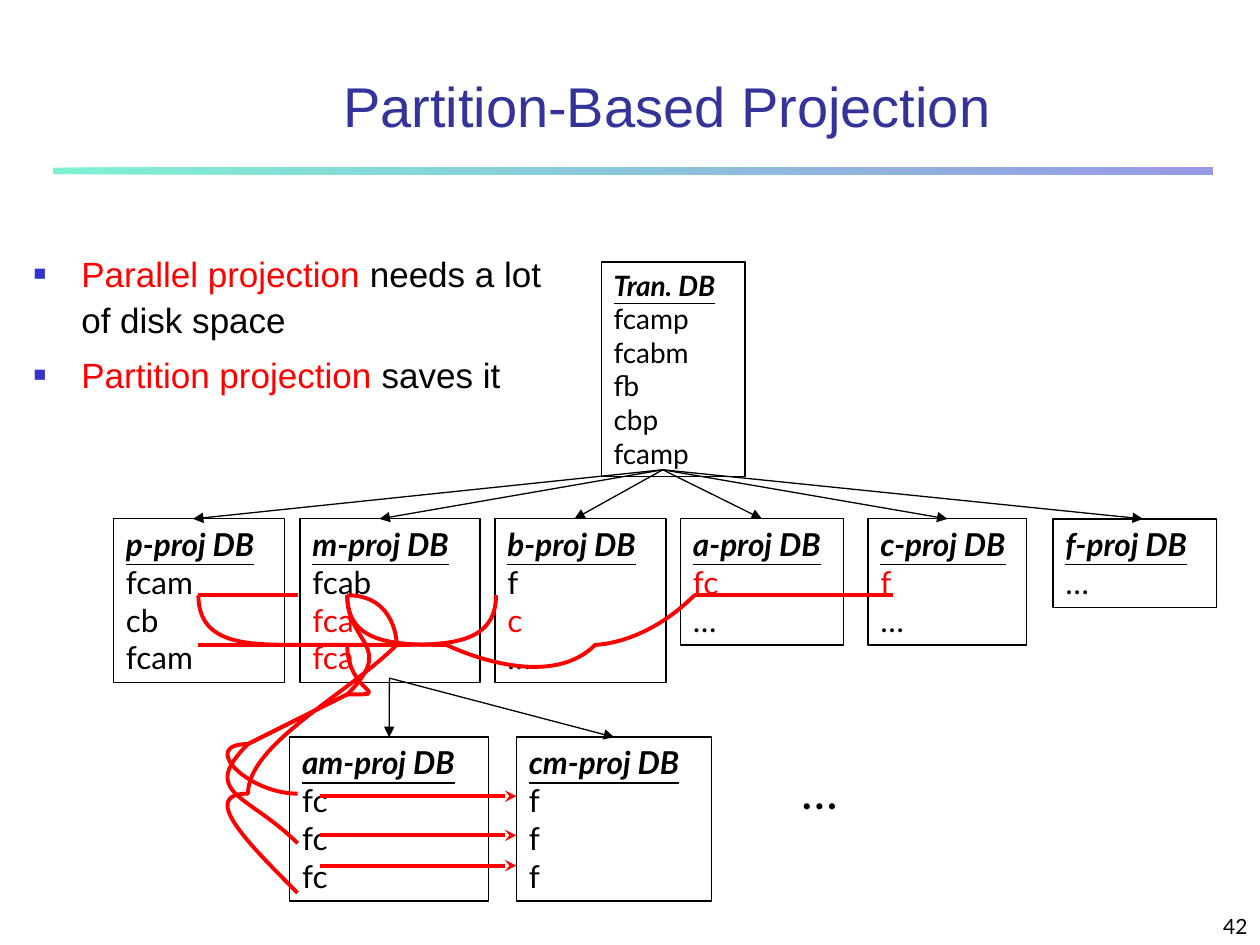
from lxml import etree
from pptx import Presentation
from pptx import util as u
from pptx.dml.color import RGBColor
from pptx.enum import shapes, text
from pptx.oxml.ns import qn

BLACK, RED, NAVY, BLUE = "000000", "FF0000", "333399", "3333CC"
ROW1, ROW2 = 10.46, 14.86

# name, left, top, width, size, lines; a star marks a red line
BOXES = [
    ("Tran. DB", 12.12, 5.28, 2.9, 16, "fcamp fcabm fb cbp fcamp"),
    ("p-proj DB", 2.29, ROW1, 3.45, 18, "fcam cb fcam"),
    ("m-proj DB", 6.05, ROW1, 3.63, 18, "fcab *fca *fca"),
    ("b-proj DB", 9.98, ROW1, 3.45, 18, "f *c …"),
    ("a-proj DB", 13.72, ROW1, 3.28, 18, "*fc …"),
    ("c-proj DB", 17.5, ROW1, 3.2, 18, "*f …"),
    ("f-proj DB", 21.23, ROW1, 3.3, 18, "…"),
    ("am-proj DB", 5.84, ROW2, 4.01, 18, "fc fc fc"),
    ("cm-proj DB", 10.41, ROW2, 3.94, 18, "f f f"),
]

# start point, then the x where each arrow meets the top of its box
TREE = [
    ((13.36, 9.47), [("p-proj DB", 3.89), ("m-proj DB", 7.65),
                     ("b-proj DB", 11.58), ("a-proj DB", 15.34),
                     ("c-proj DB", 19.1), ("f-proj DB", 23.04)]),
    ((7.85, 13.67), [("am-proj DB", 7.85), ("cm-proj DB", 12.4)]),
]

# start, then two control points and an end for each piece
CURVES = [
    [(3.71, 11.66), (3.89, 11.91), (4.09, 12.17), (4.5, 12.29),
     (4.88, 12.45), (5.49, 12.45), (6.07, 12.47)],
    [(7.06, 12.47), (7.47, 12.78), (7.87, 13.11), (8.64, 13.26),
     (9.4, 13.44), (10.74, 13.69), (11.58, 13.46),
     (12.45, 13.23), (13.11, 12.55), (13.77, 11.86)],
    [(14.35, 11.66), (14.99, 11.76), (15.65, 11.86), (16.15, 11.89),
     (16.69, 11.89), (17.09, 11.84), (17.53, 11.79)],
    [(3.71, 13.26), (3.94, 13.34), (4.19, 13.44), (4.5, 13.46),
     (4.78, 13.49), (5.21, 13.49), (5.49, 13.46),
     (5.74, 13.44), (5.89, 13.34), (6.07, 13.26)],
    [(7.04, 13.26), (7.44, 13.51), (7.85, 13.77), (7.47, 14.05),
     (7.09, 14.35), (5.03, 14.73), (4.75, 15.06),
     (4.5, 15.39), (5.13, 15.72), (5.79, 16.05)],
    [(7.04, 12.47), (7.44, 12.85), (7.85, 13.23), (7.47, 13.72),
     (7.09, 14.17), (5.03, 14.76), (4.75, 15.29),
     (4.5, 15.8), (5.13, 16.33), (5.79, 16.84)],
    [(7.16, 11.66), (7.59, 12.19), (8.03, 12.73), (7.62, 13.39),
     (7.19, 14.02), (4.9, 14.81), (4.6, 15.52),
     (4.29, 16.23), (5.03, 16.94), (5.77, 17.65)],
    [(3.61, 12.5), (4.27, 12.65), (4.93, 12.8), (5.72, 12.88),
     (6.5, 12.93), (7.65, 12.93), (8.36, 12.88),
     (9.07, 12.8), (9.5, 12.65), (9.96, 12.5)],
]


def rgb(code):
    return RGBColor.from_string(code)


def cm(*nums):
    return [u.Cm(n) for n in nums]


def add_run(para, words, size, color=BLACK, face="Lato", head=False):
    run = para.add_run()
    run.text = words
    font = run.font
    font.name, font.size, font.color.rgb = face, u.Pt(size), rgb(color)
    font.bold = font.italic = font.underline = head


def stroke(shape, color, width):
    shape.line.color.rgb = rgb(color)
    shape.line.width = u.Pt(width)


def add_note(slide, place, wrap=True):
    frame = slide.shapes.add_textbox(*cm(*place)).text_frame
    frame.word_wrap = wrap
    return frame


def add_title(slide, words):
    title = slide.shapes.title
    title.left, title.top, title.width, title.height = cm(2.54, 1.27, 21.82, 1.7)
    frame = title.text_frame
    frame.vertical_anchor = text.MSO_ANCHOR.MIDDLE
    para = frame.paragraphs[0]
    para.alignment = text.PP_ALIGN.CENTER
    add_run(para, words, 32, NAVY, "Arial")


def add_rule(slide):
    """Draw the half-clear gradient bar under the title."""
    bar = slide.shapes.add_shape(shapes.MSO_SHAPE.RECTANGLE,
                                 *cm(1.07, 3.38, 23.37, 0.13))
    bar.shadow.inherit = False
    bar.line.fill.background()
    bar.fill.gradient()
    bar.fill.gradient_angle = 0
    for stop, pos, color in zip(bar.fill.gradient_stops, (0, 1), ("00E4A8", BLUE)):
        stop.position = pos
        stop.color.rgb = rgb(color)
    for tint in bar._element.spPr.iter(qn("a:srgbClr")):
        etree.SubElement(tint, qn("a:alpha"), val="50000")


def add_bullets(slide, items):
    frame = add_note(slide, (0.43, 4.88, 11.43, 3.81))
    for i, (key, rest) in enumerate(items):
        para = frame.add_paragraph() if i else frame.paragraphs[0]
        props = para._p.get_or_add_pPr()
        props.set("marL", str(u.Cm(0.96)))
        props.set("indent", str(-u.Cm(0.96)))
        color = etree.SubElement(props, qn("a:buClr"))
        etree.SubElement(color, qn("a:srgbClr"), val=BLUE)
        etree.SubElement(props, qn("a:buSzPct"), val="60000")
        etree.SubElement(props, qn("a:buFont"), typeface="Arial")
        etree.SubElement(props, qn("a:buChar"), char="■")
        para.line_spacing = 1.1
        para.space_before = u.Pt(5 if i else 0)
        add_run(para, key, 20, RED, "Arial")
        add_run(para, rest, 20, BLACK, "Arial")


def add_base(slide, name, left, top, width, size, rows):
    """Add a database box whose height follows its number of lines."""
    rows = rows.split()
    high = 0.26 + 0.0423 * size * (len(rows) + 1)
    box = slide.shapes.add_shape(shapes.MSO_SHAPE.RECTANGLE,
                                 *cm(left, top, width, high))
    box.shadow.inherit = False
    box.fill.background()
    stroke(box, BLACK, 0.75)
    frame = box.text_frame
    frame.word_wrap = True
    frame.vertical_anchor = text.MSO_ANCHOR.TOP
    add_run(frame.paragraphs[0], name, size, head=True)
    for row in rows:
        color = RED if row.startswith("*") else BLACK
        add_run(frame.add_paragraph(), row.lstrip("*"), size, color)
    for para in frame.paragraphs:
        para.alignment = text.PP_ALIGN.LEFT
    return box


def add_arrow(slide, start, end, color, width, tip):
    line = slide.shapes.add_connector(shapes.MSO_CONNECTOR.STRAIGHT,
                                      *cm(*start, *end))
    stroke(line, color, width)
    etree.SubElement(line.line._get_or_add_ln(), qn("a:tailEnd"), type=tip)
    etree.SubElement(line._element.spPr, qn("a:effectLst"))
    return line


def add_branch(slide, start, box, x):
    """Point an arrow at a box's top, joined where it meets the middle."""
    line = add_arrow(slide, start, (x, ROW1), BLACK, 0.75, "triangle")
    line.end_y = box.top
    if abs(box.left + box.width / 2 - u.Cm(x)) < u.Cm(0.05):
        line.end_connect(box, 0)


def add_curve(slide, points):
    """Draw a Bezier outline: each three line pieces become one curve."""
    pen = slide.shapes.build_freeform(*points[0], scale=float(u.Cm(1)))
    pen.add_line_segments(points[1:], close=False)
    curve = pen.convert_to_shape()
    curve.shadow.inherit = False
    curve.fill.background()
    stroke(curve, RED, 2.25)
    route = next(curve._element.iter(qn("a:path")))
    legs = route.findall(qn("a:lnTo"))
    for i in range(0, len(legs), 3):
        bend = etree.SubElement(route, qn("a:cubicBezTo"))
        for leg in legs[i:i + 3]:
            bend.append(leg[0])
            route.remove(leg)


def main():
    deck = Presentation()
    deck.slide_width, deck.slide_height = cm(25.4, 19.05)
    slide = deck.slides.add_slide(deck.slide_layouts[5])
    add_rule(slide)
    add_title(slide, "Partition-Based Projection")
    add_bullets(slide, [("Parallel projection ", "needs a lot of disk space"),
                        ("Partition projection ", "saves it")])
    bases = {row[0]: add_base(slide, *row) for row in BOXES}
    for start, ends in TREE:
        for name, x in ends:
            add_branch(slide, start, bases[name], x)
    for points in CURVES:
        add_curve(slide, points)
    for y in (16.05, 16.84, 17.45):
        add_arrow(slide, (6.45, y), (10.41, y), RED, 2.25, "stealth")
    more = add_note(slide, (15.9, 15.21, 1.27, 1.45), wrap=False)
    add_run(more.paragraphs[0], "…", 28)
    page = add_note(slide, (20.12, 17.98, 5.28, 1.07))
    page.vertical_anchor = text.MSO_ANCHOR.BOTTOM
    page.paragraphs[0].alignment = text.PP_ALIGN.RIGHT
    add_run(page.paragraphs[0], "42", 12)
    deck.save("out.pptx")


if __name__ == "__main__":
    main()
